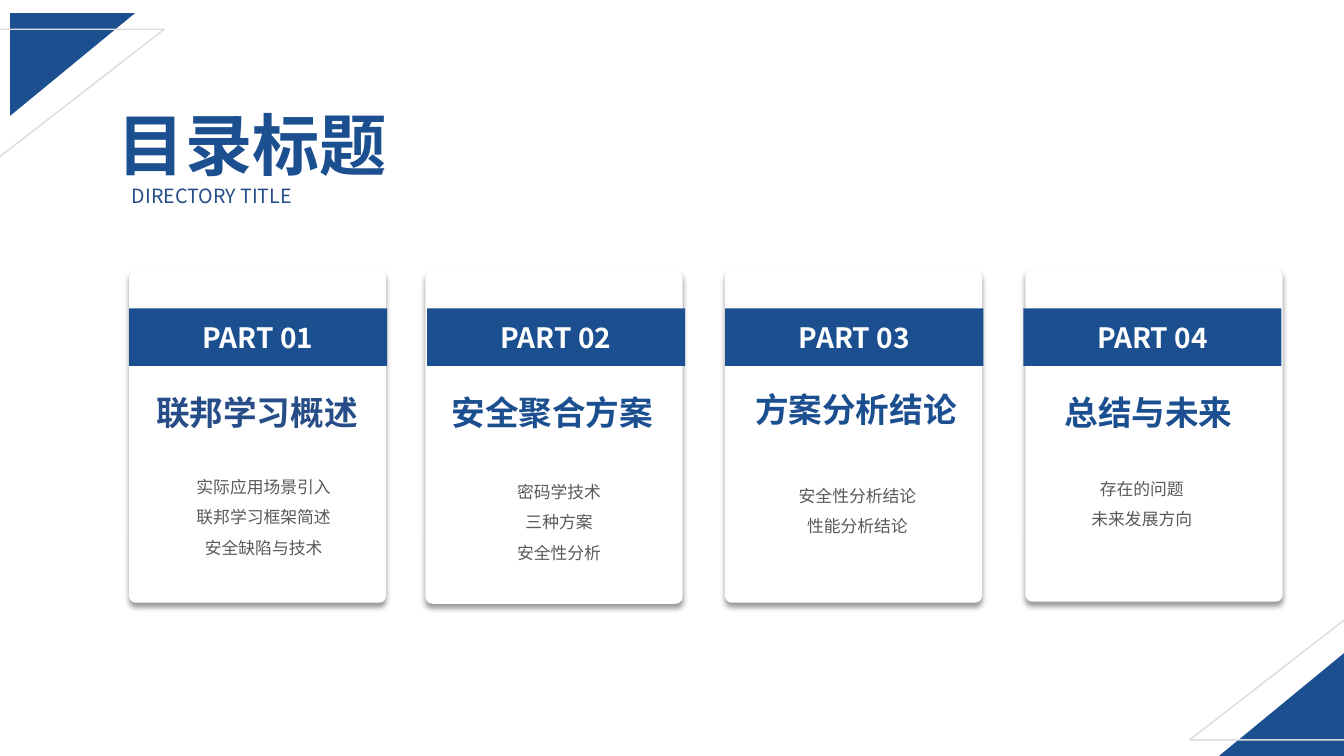
from lxml.etree import SubElement
from pptx import Presentation
from pptx.dml.color import RGBColor
from pptx.enum.shapes import MSO_SHAPE
from pptx.enum.text import MSO_ANCHOR, MSO_AUTO_SIZE, PP_ALIGN
from pptx.oxml.ns import qn
from pptx.util import Inches, Pt

COLORS = {
    "blue": "1C4F90",
    "muted_blue": "264D88",
    "gray": "595959",
    "outline": "DCDCDC",
    "white": "FFFFFF",
    "black": "000000",
}
FONT = "Noto Sans CJK SC"
BAND_LEFT, BAND_STEP = 1.28, 8.87 / 3

PARTS = [
    {
        "card": (1.28, 2.68), "heading": (1.45, 3.84, 2.22, 0.5),
        "list": (1.37, 4.58, 2.49, 0.97), "color": "muted_blue",
        "title": "联邦学习概述",
        "topics": ["实际应用场景引入", "联邦学习框架简述", "安全缺陷与技术"],
    },
    {
        "card": (4.22, 2.69), "heading": (4.38, 3.84, 2.22, 0.5),
        "list": (4.49, 4.63, 2.11, 1.28), "color": "blue",
        "title": "安全聚合方案",
        "topics": ["密码学技术", "三种方案", "安全性分析"],
    },
    {
        "card": (7.19, 2.68), "heading": (7.39, 3.81, 2.22, 0.5),
        "list": (7.26, 4.67, 2.49, 0.97), "color": "blue",
        "title": "方案分析结论",
        "topics": ["安全性分析结论", "性能分析结论"],
    },
    {
        "card": (10.17, 2.67), "heading": (10.46, 3.84, 1.88, 0.5),
        "list": (10.08, 4.6, 2.49, 0.67), "color": "blue",
        "title": "总结与未来",
        "topics": ["存在的问题", "未来发展方向"],
    },
]


def rgb(name):
    return RGBColor.from_string(COLORS[name])


def write(frame, lines, size=12, color="gray", bold=False, align=PP_ALIGN.LEFT,
          spacing=1.0, anchor=MSO_ANCHOR.TOP, wrap=True):
    frame.word_wrap = wrap
    frame.auto_size = MSO_AUTO_SIZE.NONE
    frame.vertical_anchor = anchor
    for number, line in enumerate(lines):
        para = frame.add_paragraph() if number else frame.paragraphs[0]
        para.alignment = align
        para.line_spacing = spacing
        para.space_before = para.space_after = Pt(0)
        span = para.add_run()
        span.text = line
        span.font.name = FONT
        span.font.size = Pt(size)
        span.font.bold = bold
        span.font.color.rgb = rgb(color)
        SubElement(span.font._element, qn("a:ea"), typeface=FONT)


class SlideBuilder:
    def __init__(self, page):
        self.page = page

    def shape(self, kind, area, fill=None, line=None, flip=None):
        shape = self.page.shapes.add_shape(kind, *map(Inches, area))
        shape.shadow.inherit = False
        if fill:
            shape.fill.solid()
            shape.fill.fore_color.rgb = rgb(fill)
        else:
            shape.fill.background()
        if line:
            shape.line.color.rgb = rgb(line)
            shape.line.width = Pt(1)
        else:
            shape.line.fill.background()
        if flip:
            shape.element.spPr.find(qn("a:xfrm")).set(flip, "1")
        return shape

    def card(self, left, top):
        card = self.shape(MSO_SHAPE.ROUNDED_RECTANGLE, (left, top, 2.55, 3.3), "white")
        card.adjustments[0] = 0.027
        effects = card.element.spPr.find(qn("a:effectLst"))
        shadow = SubElement(effects, qn("a:outerShdw"), blurRad=str(Pt(4)),
                            dist=str(Pt(3)), dir="5400000", algn="t", rotWithShape="0")
        tint = SubElement(shadow, qn("a:srgbClr"), val=COLORS["black"])
        SubElement(tint, qn("a:alpha"), val="40000")

    def band(self, left, text):
        band = self.shape(MSO_SHAPE.RECTANGLE, (left, 3.06, 2.56, 0.57), "blue")
        write(band.text_frame, [text], size=20, color="white", bold=True,
              align=PP_ALIGN.CENTER, anchor=MSO_ANCHOR.MIDDLE)

    def text(self, area, text, **style):
        box = self.page.shapes.add_textbox(*map(Inches, area))
        write(box.text_frame, [text], **style)

    def placeholder(self, index, area, lines, **style):
        holder = self.page.placeholders[index]
        holder.left, holder.top, holder.width, holder.height = map(Inches, area)
        write(holder.text_frame, lines, **style)
        for para in holder.text_frame.paragraphs:
            properties = para._p.get_or_add_pPr()
            properties.set("marL", "0")
            properties.set("indent", "0")
            SubElement(properties, qn("a:buNone"))
        holder.element.getparent().append(holder.element)

    def corner(self, solid, outlined, flip):
        triangle = MSO_SHAPE.RIGHT_TRIANGLE
        self.shape(triangle, (*solid, 1.24, 1.02), fill="blue", flip=flip)
        self.shape(triangle, (*outlined, 1.78, 1.38), line="outline", flip=flip)


def main():
    deck = Presentation()
    deck.slide_width, deck.slide_height = Inches(13.33), Inches(7.5)
    page = deck.slides.add_slide(deck.slide_layouts.get_by_name("Comparison"))
    builder = SlideBuilder(page)

    builder.placeholder(0, (1.07, 0.97, 3.07, 0.91), ["目录标题"], size=48,
                        color="blue", bold=True, align=PP_ALIGN.JUSTIFY)
    builder.text((1.21, 1.78, 2.8, 0.34), "DIRECTORY TITLE", size=14,
                 color="muted_blue", align=PP_ALIGN.JUSTIFY)
    for part in PARTS:
        builder.card(*part["card"])
    for number, part in enumerate(PARTS, 1):
        builder.band(BAND_LEFT + (number - 1) * BAND_STEP, f"PART {number:02}")
        builder.text(part["heading"], part["title"], size=24, color=part["color"],
                     bold=True, wrap=False)
        builder.placeholder(number, part["list"], part["topics"],
                            align=PP_ALIGN.CENTER, spacing=1.5)
    builder.corner((12.09, 6.48), (11.8, 5.96), "flipH")
    builder.corner((0.1, 0.13), (-0.15, 0.29), "flipV")
    deck.save("out.pptx")


if __name__ == "__main__":
    main()
